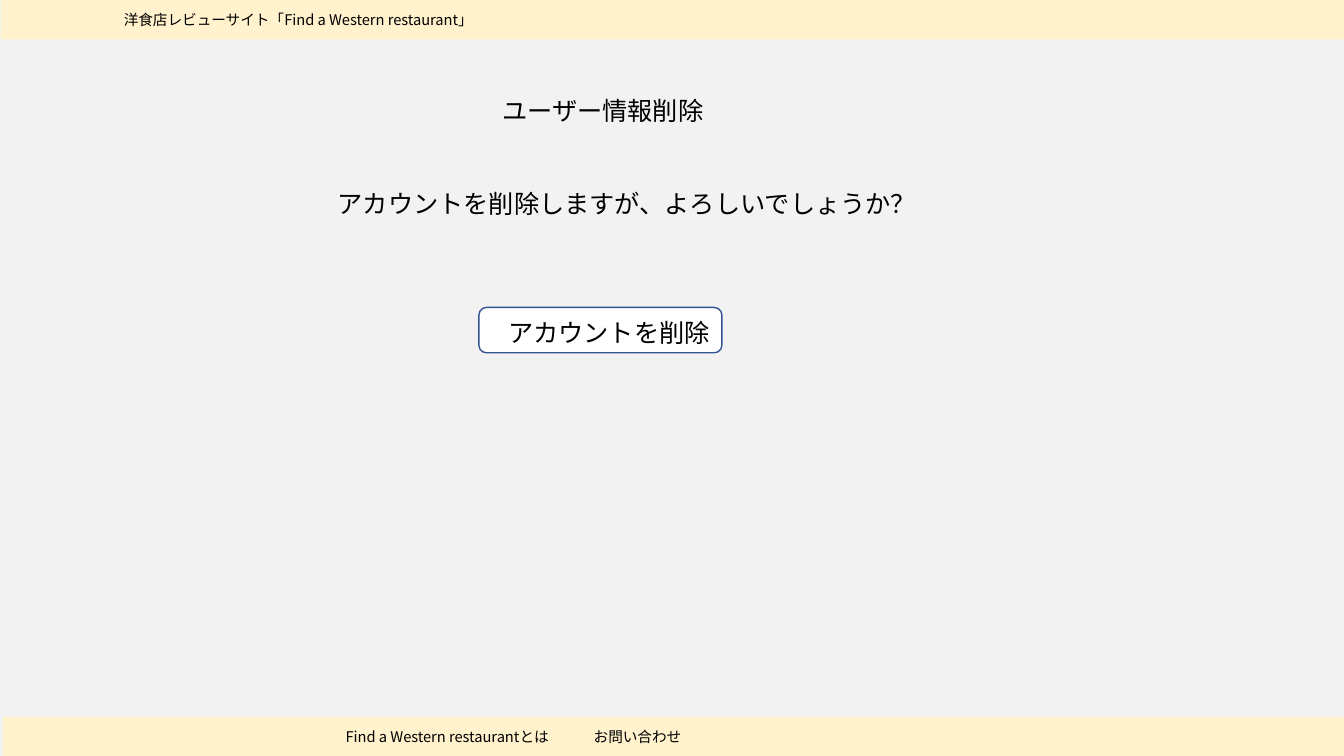
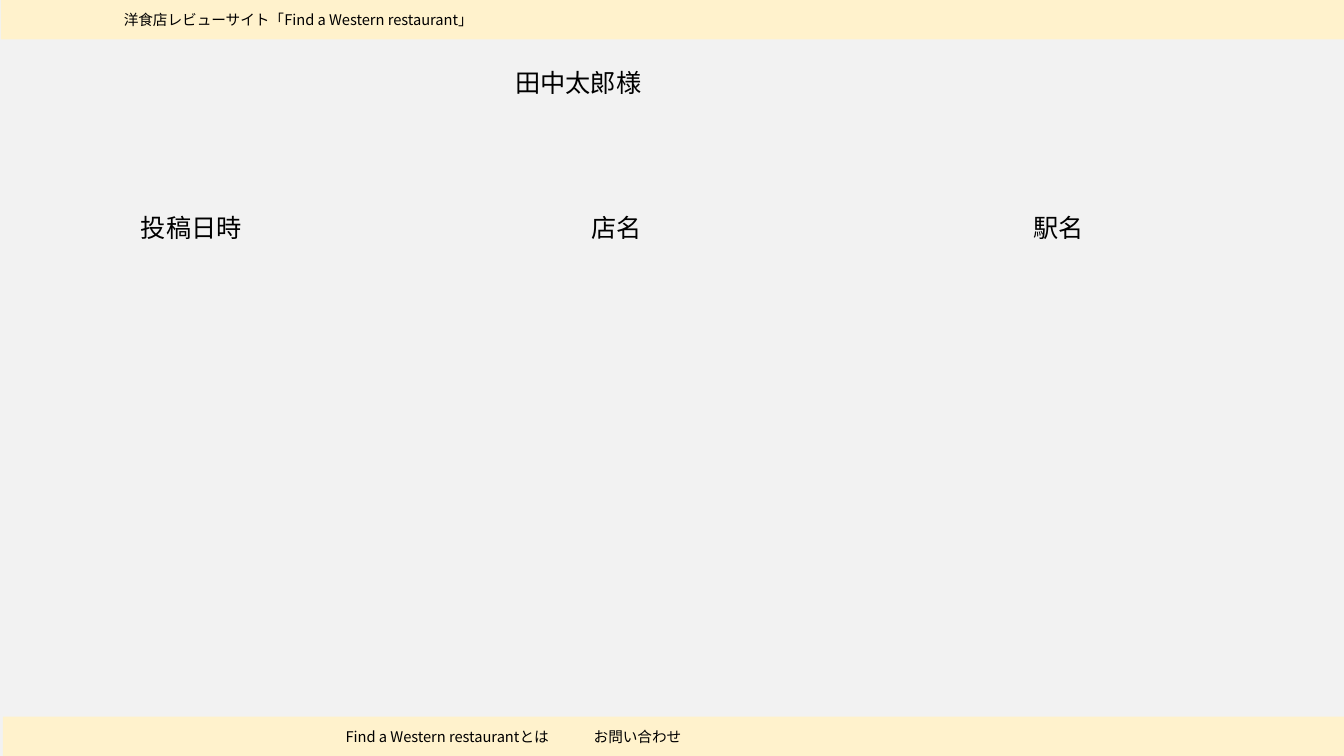
from dataclasses import dataclass

from lxml import etree
from pptx import Presentation
from pptx.dml.color import RGBColor
from pptx.enum.shapes import MSO_SHAPE as Shape
from pptx.enum.text import MSO_ANCHOR as Anchor, MSO_AUTO_SIZE as AutoSize, PP_ALIGN as Align
from pptx.oxml.ns import qn
from pptx.util import Inches, Pt


@dataclass(frozen=True)
class Theme:
    font: str = "Noto Sans CJK JP"
    text: RGBColor = RGBColor(0x00, 0x00, 0x00)
    page: RGBColor = RGBColor(0xF2, 0xF2, 0xF2)
    band: RGBColor = RGBColor(0xFF, 0xF2, 0xCC)
    button: RGBColor = RGBColor(0xFF, 0xFF, 0xFF)
    button_edge: RGBColor = RGBColor(0x32, 0x54, 0x91)
    body_size: float = 18
    band_size: float = 10.5


THEME = Theme()
SLIDE_WIDTH, SLIDE_HEIGHT = 13.33, 7.5
BAND_HEIGHT = 0.39
BODY_HEIGHT, BAND_TEXT_HEIGHT = 0.4, 0.28
TITLE_ONLY_LAYOUT = 5


def place(shape, left, top, width, height):
    shape.left, shape.top = Inches(left), Inches(top)
    shape.width, shape.height = Inches(width), Inches(height)


def write(shape, text, size=THEME.body_size, align=Align.LEFT, anchor=Anchor.TOP,
          auto_size=AutoSize.SHAPE_TO_FIT_TEXT):
    """Put one unwrapped line of theme text in a shape."""
    frame = shape.text_frame
    frame.word_wrap = False
    frame.auto_size = auto_size
    frame.vertical_anchor = anchor
    paragraph = frame.paragraphs[0]
    paragraph.alignment = align
    run = paragraph.add_run()
    run.text = text
    run.font.size = Pt(size)
    run.font.name = THEME.font
    run.font.color.rgb = THEME.text
    east_asian = etree.SubElement(run.font._element, qn("a:ea"))
    east_asian.set("typeface", THEME.font)


def add_label(slide, text, left, top, width, height=BODY_HEIGHT, **text_format):
    label = slide.shapes.add_textbox(
        Inches(left), Inches(top), Inches(width), Inches(height))
    write(label, text, **text_format)


def add_box(slide, kind, left, top, width, height, fill, edge=None):
    box = slide.shapes.add_shape(
        kind, Inches(left), Inches(top), Inches(width), Inches(height))
    box.shadow.inherit = False
    box.fill.solid()
    box.fill.fore_color.rgb = fill
    if edge is None:
        box.line.fill.background()
    else:
        box.line.color.rgb = edge
        box.line.width = Pt(1)
    return box


def add_band(slide, left, top, labels):
    """Draw a page band with labels given as (text, left, width)."""
    add_box(slide, Shape.RECTANGLE, left, top, SLIDE_WIDTH, BAND_HEIGHT, THEME.band)
    for text, label_left, width in labels:
        add_label(slide, text, label_left, top + 0.06, width, BAND_TEXT_HEIGHT,
                  size=THEME.band_size)


def add_button(slide, text, left, top, width, height):
    button = add_box(slide, Shape.ROUNDED_RECTANGLE, left, top, width, height,
                     THEME.button, THEME.button_edge)
    write(button, text, align=Align.RIGHT, anchor=Anchor.MIDDLE, auto_size=AutoSize.NONE)
    button.text_frame.margin_top = Inches(0.1)


def add_page(prs, title, left, top, width):
    """Start a page with its title, header band and footer band."""
    slide = prs.slides.add_slide(prs.slide_layouts[TITLE_ONLY_LAYOUT])
    place(slide.shapes.title, left, top, width, BODY_HEIGHT)
    write(slide.shapes.title, title)
    add_band(slide, 0.01, 0, [("洋食店レビューサイト「Find a Western restaurant」", 1.13, 3.76)])
    add_band(slide, 0.03, SLIDE_HEIGHT - BAND_HEIGHT, [
        ("Find a Western restaurantとは", 3.33, 2.28),
        ("お問い合わせ", 5.79, 1.09),
    ])
    return slide


def add_delete_account_page(prs):
    slide = add_page(prs, "ユーザー情報削除", 4.88, 0.9, 2.22)
    add_label(slide, "アカウントを削除しますが、よろしいでしょうか？", 3.25, 1.82, 6.01)
    add_button(slide, "アカウントを削除", 4.75, 3.05, 2.41, 0.45)


def add_user_reviews_page(prs):
    slide = add_page(prs, "田中太郎様", 5.01, 0.62, 1.46)
    for heading, left, width in [("投稿日時", 1.3, 1.21), ("店名", 5.77, 0.71),
                                 ("駅名", 10.15, 0.71)]:
        add_label(slide, heading, left, 2.06, width)


def main():
    prs = Presentation()
    prs.slide_width, prs.slide_height = Inches(SLIDE_WIDTH), Inches(SLIDE_HEIGHT)
    background = prs.slide_master.background.fill
    background.solid()
    background.fore_color.rgb = THEME.page
    add_delete_account_page(prs)
    add_user_reviews_page(prs)
    prs.save("out.pptx")


if __name__ == "__main__":
    main()
